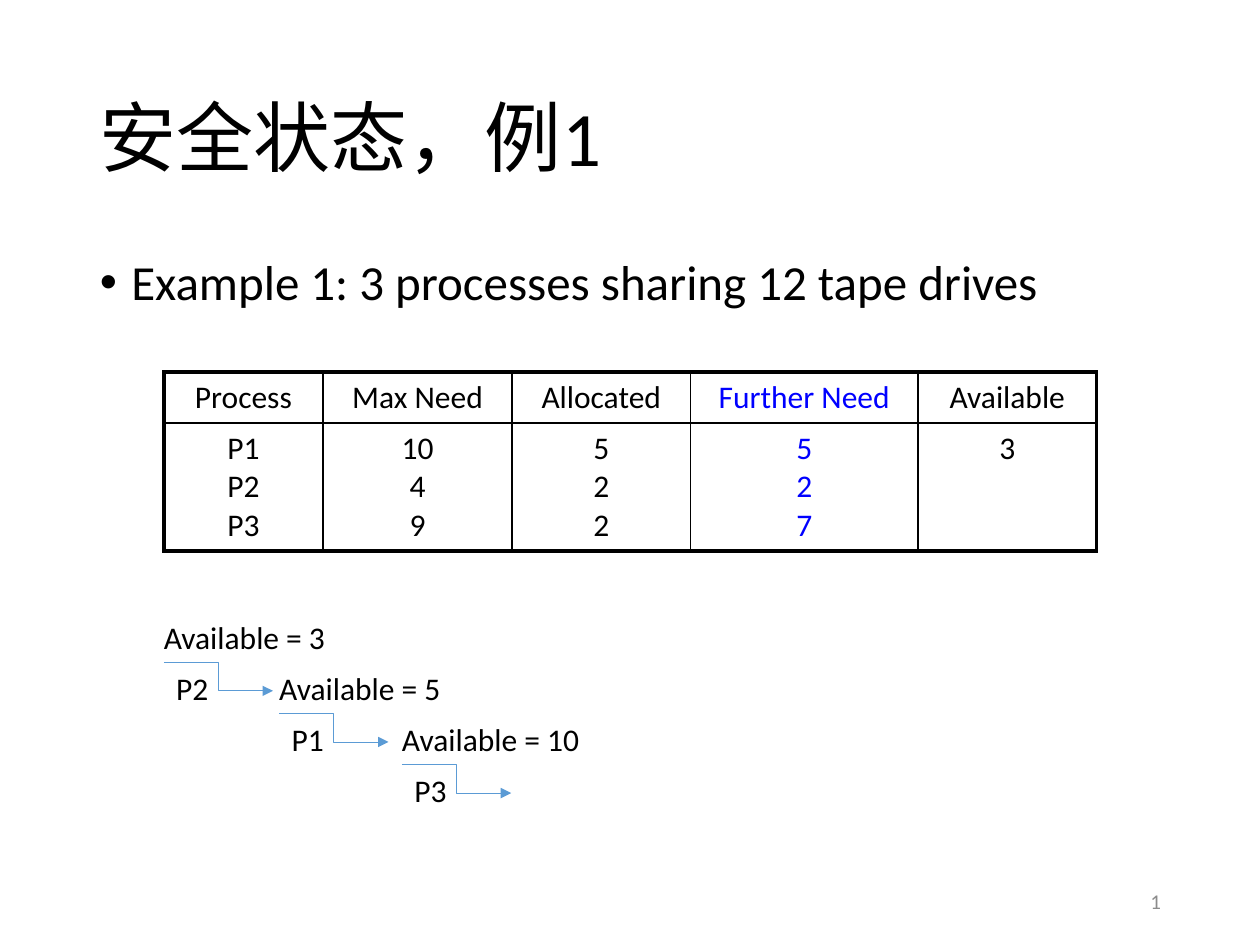
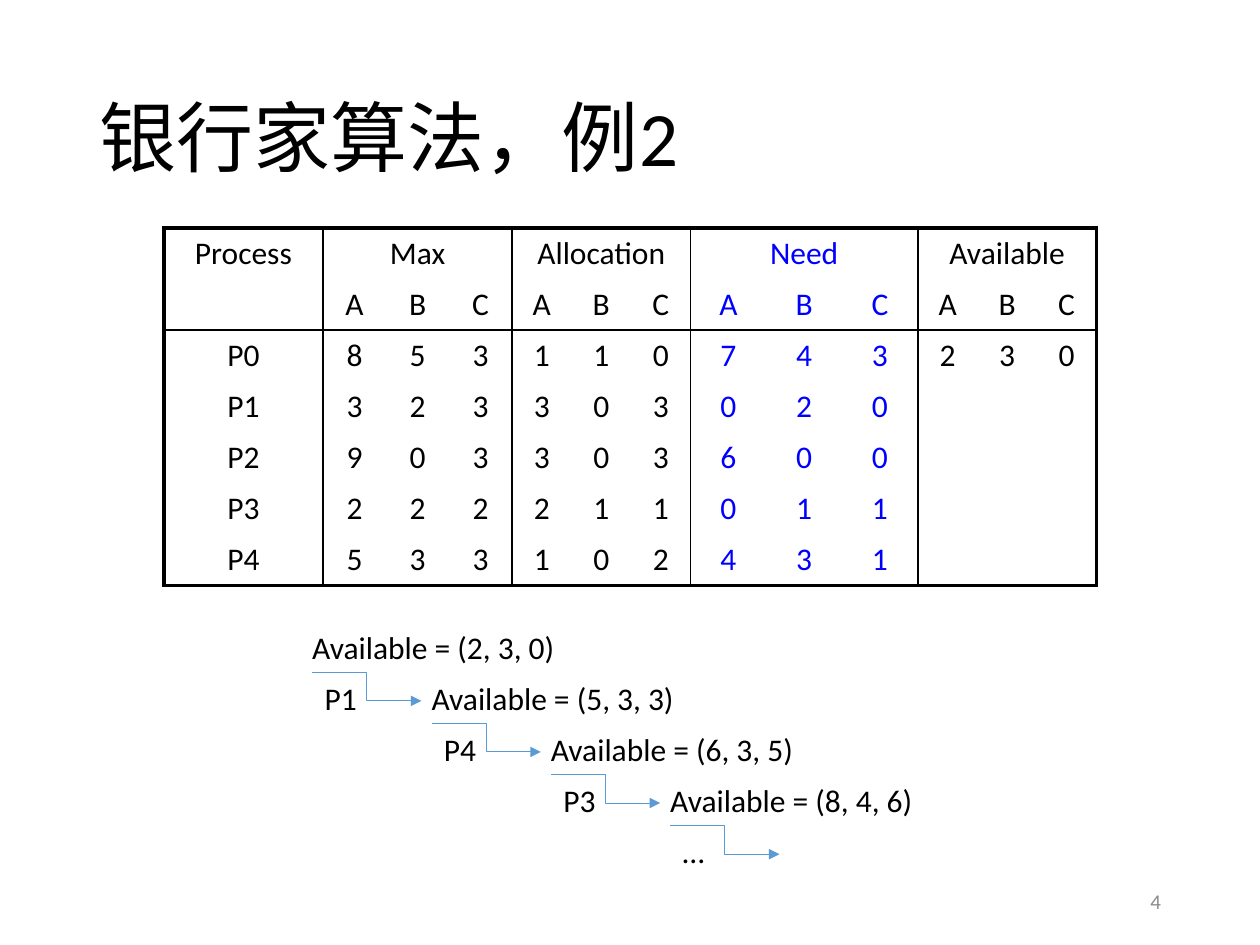
from dataclasses import dataclass

from lxml import etree
from pptx import Presentation
from pptx.dml.color import RGBColor
from pptx.enum import shapes, text
from pptx.oxml import ns
from pptx.util import Pt

BLACK = RGBColor(0x00, 0x00, 0x00)
WHITE = RGBColor(0xFF, 0xFF, 0xFF)
BLUE = RGBColor(0x00, 0x00, 0xFF)
GREY = RGBColor(0x8C, 0x8C, 0x8C)
SKY = RGBColor(0x5B, 0x9B, 0xD5)
FONT = "Calibri"

LEFT, WIDTH = 50, 620
ROW = 29.2  # one line of 18 pt text with its margins
TABLE_X = 93.6
FIRST = 91
GROUPS = (108, 102, 130, 102)
NEED = 2  # the group set in blue
THICK, THIN = 2.25, 1


@dataclass
class Box:
    x: float
    y: float
    w: float
    h: float
    inset: float = 7.2
    anchor: text.MSO_ANCHOR = text.MSO_ANCHOR.TOP


@dataclass
class Grid:
    """Process table whose four groups each have `sub` columns."""
    top: float
    sub: int
    heads: list[str]
    rows: list[list[str]]
    heights: list[float]


@dataclass
class Step:
    x: float
    free: str
    proc: str


TITLE = Box(LEFT, 28.8, WIDTH, 104.4, anchor=text.MSO_ANCHOR.MIDDLE)
BODY = Box(LEFT, 144, WIDTH, 342.7)
NUMBER = Box(508.5, 500.5, 162, 28.8, anchor=text.MSO_ANCHOR.MIDDLE)


def add_run(para, words: str, size: float = 18, color: RGBColor = BLACK) -> None:
    run = para.add_run()
    run.text = words
    run.font.size = Pt(size)
    run.font.name = FONT
    run.font.color.rgb = color


def add_text(slide, box: Box, words: str, size: float = 18,
             color: RGBColor = BLACK):
    """Draw one line of text and return its paragraph."""
    shape = slide.shapes.add_textbox(Pt(box.x), Pt(box.y), Pt(box.w), Pt(box.h))
    frame = shape.text_frame
    frame.word_wrap = True
    frame.vertical_anchor = box.anchor
    frame.margin_left = frame.margin_right = Pt(box.inset)
    para = frame.paragraphs[0]
    add_run(para, words, size, color)
    return para


def add_bullet(slide, words: str) -> None:
    para = add_text(slide, BODY, words, 28)
    para.line_spacing = 0.9
    para.space_before = Pt(10)
    props = para._p.get_or_add_pPr()
    props.set("marL", str(Pt(18)))
    props.set("indent", str(Pt(-18)))
    etree.SubElement(props, ns.qn("a:buFont"), typeface="Arial")
    etree.SubElement(props, ns.qn("a:buChar"), char="•")


def set_edges(cell, edges: dict[str, float]) -> None:
    """Set cell borders; a width of 0 means no line."""
    props = cell._tc.get_or_add_tcPr()
    for spot, side in enumerate("LRTB"):
        line = etree.Element(ns.qn(f"a:ln{side}"), w=str(Pt(edges[side])))
        if edges[side]:
            fill = etree.SubElement(line, ns.qn("a:solidFill"))
            etree.SubElement(fill, ns.qn("a:srgbClr"), val=str(BLACK))
        else:
            etree.SubElement(line, ns.qn("a:noFill"))
        props.insert(spot, line)


def add_grid(slide, grid: Grid) -> None:
    sub = grid.sub
    cols = 1 + sub * len(GROUPS)
    count = len(grid.heights)
    head = count - len(grid.rows) + (sub > 1)  # rows above the inner rule
    widths = [FIRST] + [w / sub for w in GROUPS for _ in range(sub)]
    frame = slide.shapes.add_table(count, cols, Pt(TABLE_X), Pt(grid.top),
                                   Pt(sum(widths)), Pt(sum(grid.heights)))
    table = frame.table
    table.first_row = table.horz_banding = False
    for col, width in zip(table.columns, widths):
        col.width = Pt(width)
    for row, height in zip(table.rows, grid.heights):
        row.height = Pt(height)

    if sub > 1:
        table.cell(0, 0).merge(table.cell(head - 1, 0))
        for start in range(1, cols, sub):
            table.cell(0, start).merge(table.cell(0, start + sub - 1))

    words = {(0, 0): grid.heads[0]}
    for num, name in enumerate(grid.heads[1:]):
        words[0, 1 + num * sub] = name
    for r, row in enumerate(grid.rows, 1):
        for c, item in enumerate(row):
            words[r, c] = item

    def upright(c: int) -> float:
        return THICK if c in (0, cols) else THIN if (c - 1) % sub == 0 else 0

    def level(r: int) -> float:
        return THICK if r in (0, count) else THIN if r == head else 0

    for r in range(count):
        for c in range(cols):
            cell = table.cell(r, c)
            cell.fill.solid()
            cell.fill.fore_color.rgb = WHITE
            tall, wide = ((cell.span_height, cell.span_width)
                          if cell.is_merge_origin else (1, 1))
            set_edges(cell, {"L": upright(c), "R": upright(c + wide),
                             "T": level(r), "B": level(r + tall)})
            if not words.get((r, c)):
                continue
            color = BLUE if (c - 1) // sub == NEED else BLACK
            for num, item in enumerate(words[r, c].split("\n")):
                body = cell.text_frame
                para = body.add_paragraph() if num else body.paragraphs[0]
                para.alignment = text.PP_ALIGN.CENTER
                add_run(para, item, color=color)


def add_arrow(slide, x: float, y: float) -> None:
    line = slide.shapes.add_connector(shapes.MSO_CONNECTOR.ELBOW, Pt(x), Pt(y),
                                      Pt(x + 62.4), Pt(y + 16.2))
    line.line.color.rgb = SKY
    line.line.width = Pt(0.5)
    etree.SubElement(line.line._get_or_add_ln(), ns.qn("a:tailEnd"),
                     type="triangle")
    etree.SubElement(line._element.spPr, ns.qn("a:effectLst"))


def add_steps(slide, top: float, steps: list[Step]) -> None:
    for num, step in enumerate(steps):
        y = top + num * ROW
        add_text(slide, Box(step.x, y, 158, ROW, inset=0),
                 f"Available = {step.free}")
        add_arrow(slide, step.x, y + ROW)
        add_text(slide, Box(step.x, y + ROW, 40, ROW), step.proc)


def add_slide(deck, title: str, number: int):
    slide = deck.slides.add_slide(deck.slide_layouts[6])
    add_text(slide, TITLE, title, 44).line_spacing = 0.9
    para = add_text(slide, NUMBER, str(number), 12, GREY)
    para.alignment = text.PP_ALIGN.RIGHT
    return slide


def add_safe(deck) -> None:
    slide = add_slide(deck, "安全状态，例1", 1)
    add_bullet(slide, "Example 1: 3 processes sharing 12 tape drives")
    add_grid(slide, Grid(
        212.6, 1,
        ["Process", "Max Need", "Allocated", "Further Need", "Available"],
        [["P1\nP2\nP3", "10\n4\n9", "5\n2\n2", "5\n2\n7", "3"]],
        [ROW, 73.1]))
    add_steps(slide, 349.4, [Step(93.6, "3", "P2"), Step(159.6, "5", "P1"),
                             Step(229.7, "10", "P3")])


def add_banker(deck) -> None:
    slide = add_slide(deck, "银行家算法，例2", 4)
    rows = ["P0 8 5 3 1 1 0 7 4 3 2 3 0",
            "P1 3 2 3 3 0 3 0 2 0",
            "P2 9 0 3 3 0 3 6 0 0",
            "P3 2 2 2 2 1 1 0 1 1",
            "P4 5 3 3 1 0 2 4 3 1"]
    add_grid(slide, Grid(
        130.3, 3, ["Process", "Max", "Allocation", "Need", "Available"],
        [["", *"ABC" * len(GROUPS)]] + [row.split() for row in rows],
        [ROW] * 7))
    pairs = [("(2, 3, 0)", "P1"), ("(5, 3, 3)", "P4"),
             ("(6, 3, 5)", "P3"), ("(8, 4, 6)", "…")]
    add_steps(slide, 355.1, [Step(178.4 + 68.2 * num, free, proc)
                             for num, (free, proc) in enumerate(pairs)])


def main() -> None:
    deck = Presentation()
    deck.slide_width, deck.slide_height = Pt(720), Pt(540)
    add_safe(deck)
    add_banker(deck)
    deck.save("out.pptx")


if __name__ == "__main__":
    main()
